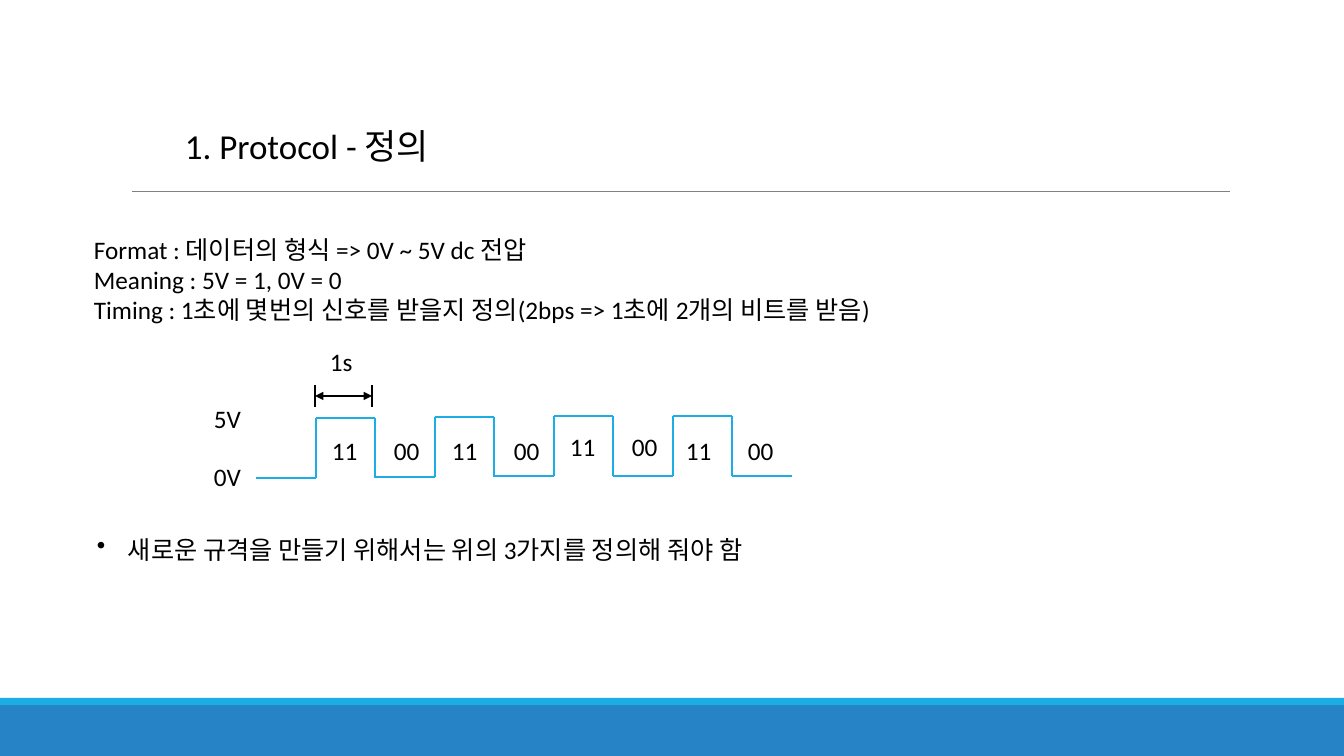
from dataclasses import dataclass

from lxml.etree import SubElement
from pptx import Presentation
from pptx.dml.color import RGBColor
from pptx.enum.shapes import MSO_CONNECTOR, MSO_SHAPE
from pptx.enum.text import MSO_ANCHOR, PP_ALIGN
from pptx.oxml.ns import qn
from pptx.util import Emu, Pt

SLIDE_WIDTH, SLIDE_HEIGHT = 1344, 756
EMU_PER_PIXEL = 914400 / 100.8


@dataclass(frozen=True)
class Theme:
    """Colours, font and type sizes of the slide."""
    font: str = "Calibri"
    text: RGBColor = RGBColor(0, 0, 0)
    rule: RGBColor = RGBColor(0x80, 0x80, 0x80)
    accent: RGBColor = RGBColor(0x1C, 0xAD, 0xE4)
    band: RGBColor = RGBColor(0x26, 0x83, 0xC6)
    title_size: int = 25
    body_size: int = 18


THEME = Theme()


def pixels(value):
    """Turn pixels into EMU."""
    return Emu(round(value * EMU_PER_PIXEL))


def add_text(slide, text, box, size=THEME.body_size, align=PP_ALIGN.LEFT,
             wrap=True, bullet_indent=0):
    """Add a text box with one paragraph for each line of text."""
    shape = slide.shapes.add_textbox(*map(pixels, box))
    frame = shape.text_frame
    frame.word_wrap = wrap
    frame.vertical_anchor = MSO_ANCHOR.TOP
    frame.text = text
    for paragraph in frame.paragraphs:
        paragraph.alignment = align
        paragraph.font.size = Pt(size)
        paragraph.font.name = THEME.font
        paragraph.font.color.rgb = THEME.text
        if bullet_indent:
            properties = paragraph._p.get_or_add_pPr()
            properties.set("marL", str(pixels(bullet_indent)))
            properties.set("indent", str(-pixels(bullet_indent)))
            bullet = SubElement(properties, qn("a:buChar"))
            bullet.set("char", "•")
            properties.insert(0, bullet)


def add_line(slide, start, end, color, width=1, arrows=False):
    """Add a straight line, with arrowheads at both ends on request."""
    line = slide.shapes.add_connector(
        MSO_CONNECTOR.STRAIGHT, *map(pixels, (*start, *end)))
    line.line.color.rgb = color
    line.line.width = Pt(width)
    if arrows:
        for tag in ("a:headEnd", "a:tailEnd"):
            SubElement(line.line._get_or_add_ln(), qn(tag)).set("type", "triangle")
    SubElement(line._element.spPr, qn("a:effectLst"))


def add_bar(slide, box, color):
    """Add a plain filled bar."""
    bar = slide.shapes.add_shape(MSO_SHAPE.RECTANGLE, *map(pixels, box))
    bar.shadow.inherit = False
    bar.fill.solid()
    bar.fill.fore_color.rgb = color
    bar.line.fill.background()


def add_footer(slide, box):
    """Draw the thin accent strip above the wide band."""
    left, top, width, height = box
    strip_height = 7
    add_bar(slide, (left, top + strip_height, width, height - strip_height), THEME.band)
    add_bar(slide, (left, top, width, strip_height), THEME.accent)


def add_heading(slide, box, title):
    """Draw the title and the rule along the bottom of the box."""
    left, top, width, height = box
    bottom = top + height
    add_line(slide, (left, bottom), (left + width, bottom), THEME.rule, width=0.5)
    add_text(slide, title, (left + 35, top, 280, 52), size=THEME.title_size,
             align=PP_ALIGN.CENTER, wrap=False)


def add_wave(slide, box, drifts):
    """Draw a square wave; each pulse sits higher by its drift."""
    left, top, width, height = box
    step = width / (2 * len(drifts) + 1)
    for pulse, drift in enumerate(drifts):
        start, rise, fall = (left + round((2 * pulse + edge) * step)
                             for edge in range(3))
        high, low = top - drift, top + height - drift
        points = [(start, low), (rise, low), (rise, high), (fall, high), (fall, low)]
        for begin, end in zip(points, points[1:]):
            add_line(slide, begin, end, THEME.accent)
    add_line(slide, points[-1], (left + width, low), THEME.accent)


def add_duration(slide, box, label):
    """Draw a labelled double arrow between two end marks."""
    left, top, width, height = box
    right, bottom, mark_height = left + width, top + height, 22
    middle = bottom - mark_height // 2
    for side in (left, right):
        add_line(slide, (side, bottom), (side, bottom - mark_height), THEME.text)
    add_line(slide, (left, middle), (right, middle), THEME.text, arrows=True)
    add_text(slide, label, (left + 5, top, 46, 40))


def add_signal(slide, box):
    """Draw the signal with its levels, duration and bits."""
    left, top, width, height = box
    add_wave(slide, (left + 52, top + 77, width - 52, height - 77), (0, 1, 2, 2))
    for level, offset in (("0V", 115), ("5V", 57)):
        add_text(slide, level, (left, top + offset, 47, 40), wrap=False)
    add_duration(slide, (left + 111, top, 57, 66), "1s")
    for pair_left, pair_top in ((118, 89), (238, 89), (356, 85), (472, 89)):
        for bits, shift in (("11", 0), ("00", 62)):
            add_text(slide, bits, (left + pair_left + shift, top + pair_top, 46, 40))


def build_slide(presentation):
    """Build the protocol definition slide."""
    slide = presentation.slides.add_slide(presentation.slide_layouts[6])
    add_footer(slide, (0, 698, SLIDE_WIDTH, 58))
    add_heading(slide, (132, 120, 1098, 71), "1. Protocol - 정의")
    add_text(slide, "Format : 데이터의 형식 => 0V ~ 5V dc 전압\n"
                    "Meaning : 5V = 1, 0V = 0\n"
                    "Timing : 1초에 몇번의 신호를 받을지 정의(2bps => 1초에 2개의 비트를 받음)",
             (84, 229, 1245, 112))
    add_signal(slide, (204, 341, 588, 137))
    add_text(slide, "새로운 규격을 만들기 위해서는 위의 3가지를 정의해 줘야 함",
             (87, 529, 947, 53), bullet_indent=31)


presentation = Presentation()
presentation.slide_width = pixels(SLIDE_WIDTH)
presentation.slide_height = pixels(SLIDE_HEIGHT)
build_slide(presentation)
presentation.save("out.pptx")
